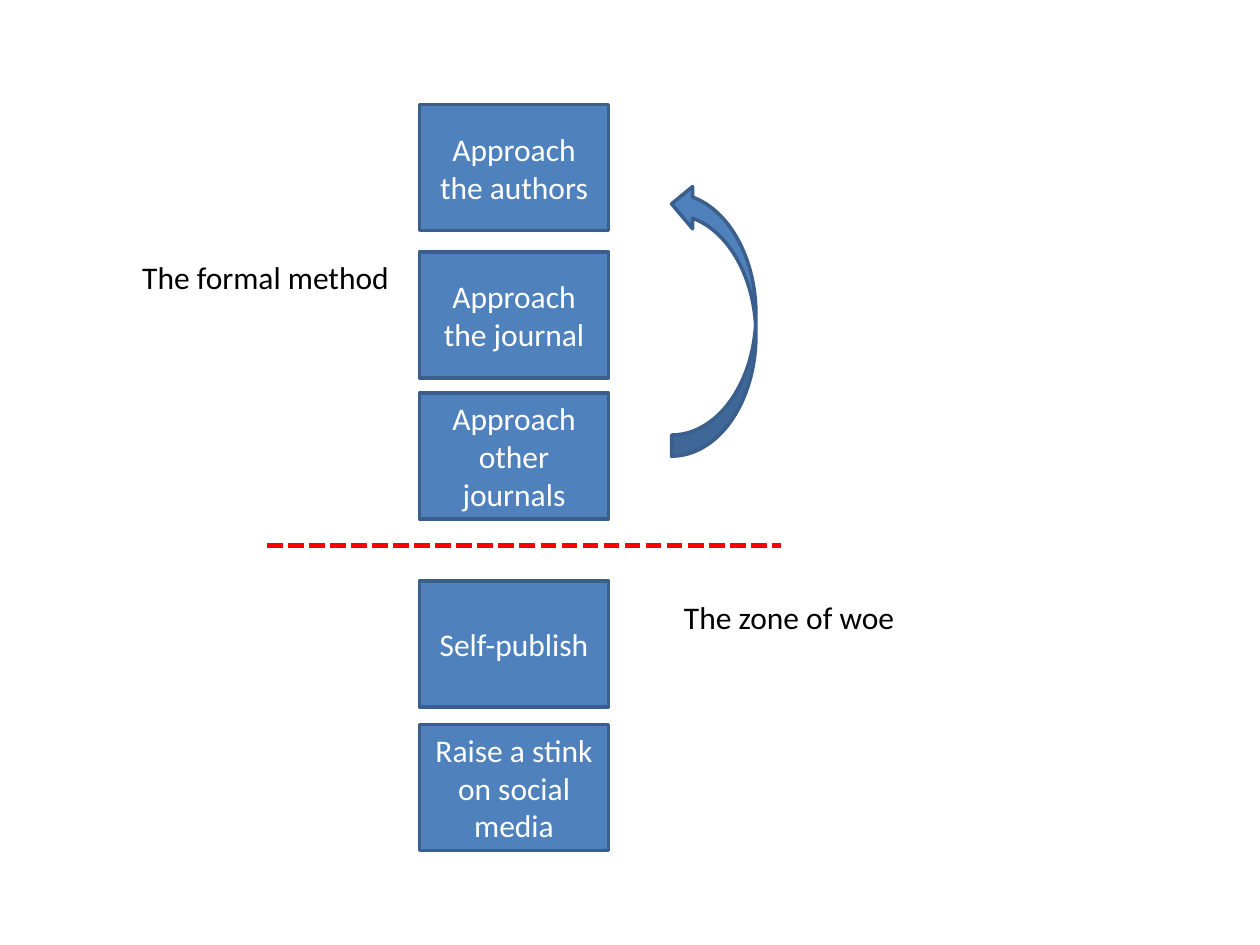
from dataclasses import dataclass

from lxml.etree import SubElement
from pptx import Presentation
from pptx.dml.color import RGBColor
from pptx.enum.dml import MSO_LINE_DASH_STYLE as Dash
from pptx.enum.shapes import MSO_CONNECTOR as Connector, MSO_SHAPE as Preset
from pptx.enum.text import MSO_ANCHOR as Anchor, MSO_AUTO_SIZE as AutoSize, PP_ALIGN as Align
from pptx.oxml.ns import qn
from pptx.shapes.autoshape import Shape
from pptx.slide import Slide
from pptx.text.text import TextFrame
from pptx.util import Inches, Pt

COLOURS = {"box": "4F81BD", "outline": "3A5F8C", "divider": "FF0000",
           "box_text": "FFFFFF", "label_text": "000000"}
STEP_LEFT, STEP_WIDTH, STEP_HEIGHT = 3.33, 1.5, 1


@dataclass(frozen=True)
class Step:
    text: str
    top: float


@dataclass(frozen=True)
class Label:
    text: str
    left: float
    top: float
    width: float


STEPS = [
    Step("Approach the authors", 0.83),
    Step("Approach the journal", 2),
    Step("Approach other journals", 3.12),
    Step("Self-publish", 4.61),
    Step("Raise a stink on social media", 5.75),
]
LABELS = [
    Label("The formal method", 1.03, 2, 2.18),
    Label("The zone of woe", 5.33, 4.7, 1.89),
]


def colour(name: str) -> RGBColor:
    return RGBColor.from_string(COLOURS[name])


def write_text(frame: TextFrame, text: str, colour_name: str, align: Align) -> None:
    paragraph = frame.paragraphs[0]
    paragraph.alignment = align
    run = paragraph.add_run()
    run.text = text
    run.font.name = "Calibri"
    run.font.size = Pt(18)
    run.font.color.rgb = colour(colour_name)


def add_filled_shape(slide: Slide, preset: Preset, left: float, top: float,
                     width: float, height: float) -> Shape:
    shape = slide.shapes.add_shape(preset, Inches(left), Inches(top), Inches(width), Inches(height))
    shape.shadow.inherit = False
    shape.fill.solid()
    shape.fill.fore_color.rgb = colour("box")
    shape.line.color.rgb = colour("outline")
    shape.line.width = Pt(2)
    return shape


def add_step(slide: Slide, step: Step) -> None:
    shape = add_filled_shape(slide, Preset.RECTANGLE, STEP_LEFT, step.top, STEP_WIDTH, STEP_HEIGHT)
    shape.text_frame.word_wrap = True
    shape.text_frame.vertical_anchor = Anchor.MIDDLE
    write_text(shape.text_frame, step.text, "box_text", Align.CENTER)


def add_label(slide: Slide, label: Label) -> None:
    shape = slide.shapes.add_textbox(Inches(label.left), Inches(label.top),
                                     Inches(label.width), Inches(0.4))
    shape.text_frame.word_wrap = False
    shape.text_frame.auto_size = AutoSize.SHAPE_TO_FIT_TEXT
    write_text(shape.text_frame, label.text, "label_text", Align.LEFT)


def add_return_arrow(slide: Slide) -> None:
    arrow = add_filled_shape(slide, Preset.CURVED_UP_ARROW, 4.58, 2.2, 2.17, 0.67)
    arrow.rotation = 270


def add_divider(slide: Slide) -> None:
    divider = slide.shapes.add_connector(Connector.STRAIGHT, Inches(2.12), Inches(4.33),
                                         Inches(6.2), Inches(4.33))
    divider.line.color.rgb = colour("divider")
    divider.line.width = Pt(3)
    divider.line.dash_style = Dash.SQUARE_DOT
    divider.line._ln.find(qn("a:prstDash")).set("val", "sysDash")
    SubElement(divider._element.spPr, qn("a:effectLst"))


def main() -> None:
    """Build the slide on the formal method and the zone of woe."""
    presentation = Presentation()
    presentation.slide_width, presentation.slide_height = Inches(10), Inches(7.5)
    slide = presentation.slides.add_slide(presentation.slide_layouts[6])
    for step in STEPS:
        add_step(slide, step)
    add_return_arrow(slide)
    add_divider(slide)
    for label in LABELS:
        add_label(slide, label)
    presentation.save("out.pptx")


if __name__ == "__main__":
    main()
